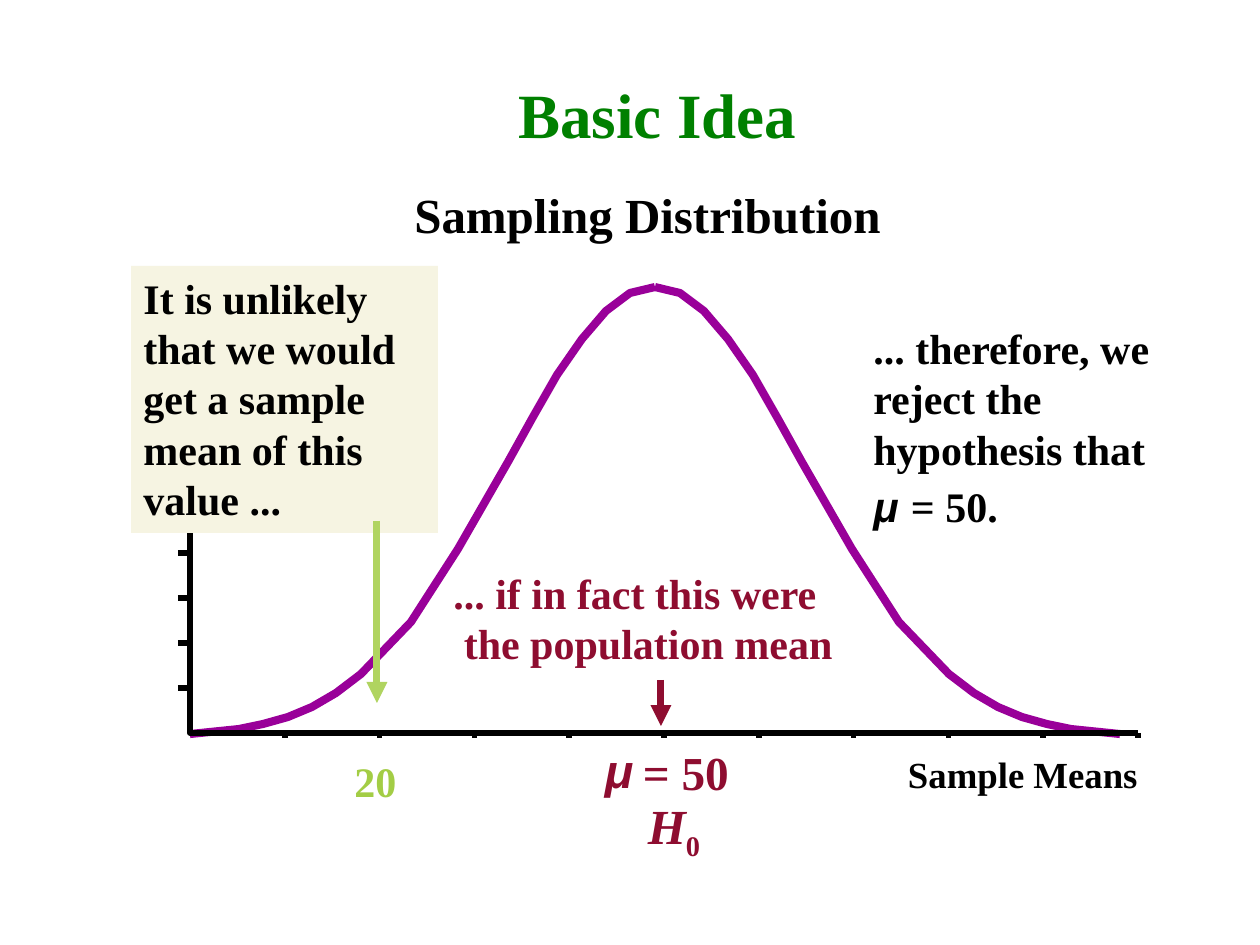
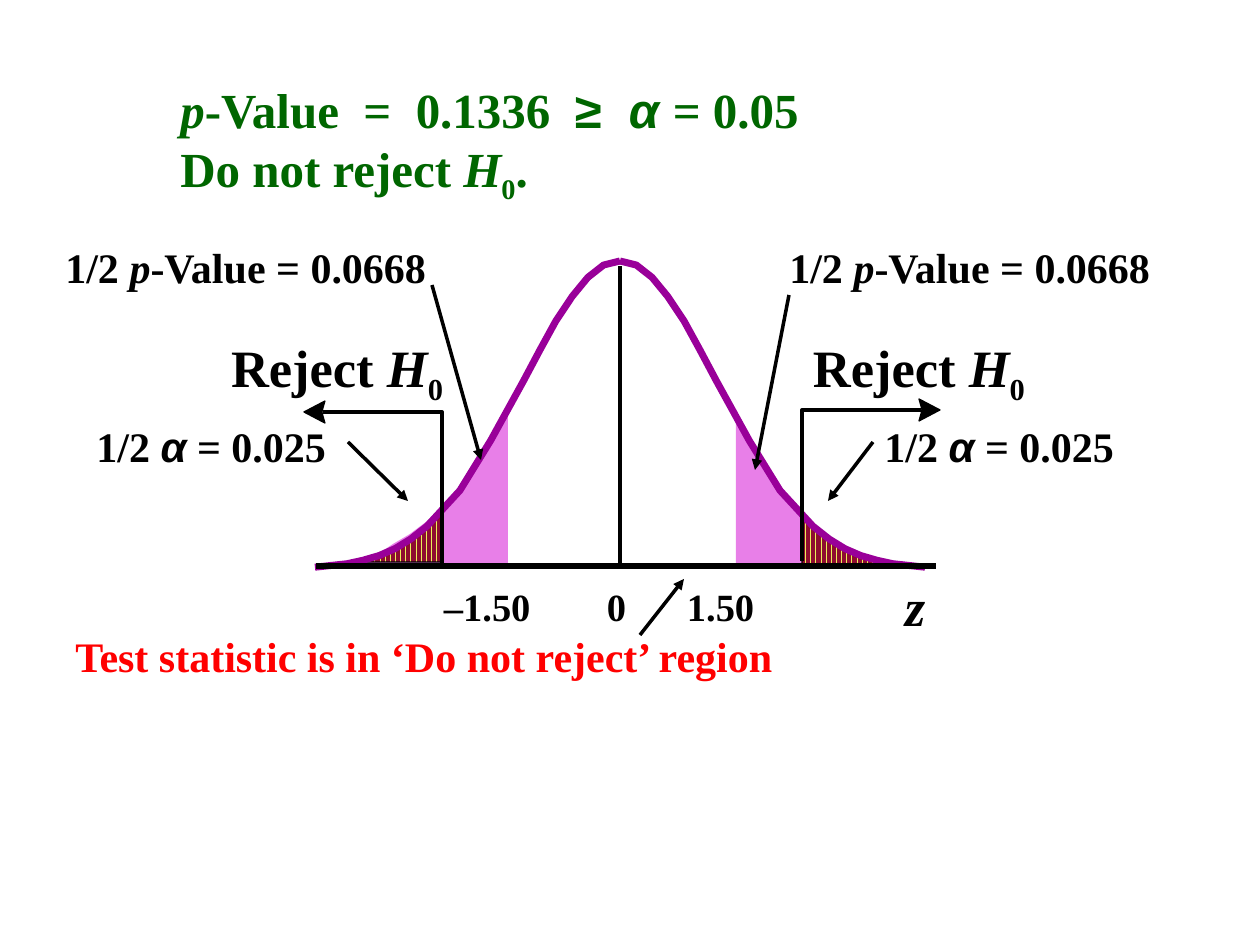
from pptx import Presentation
from pptx.dml.color import RGBColor
from pptx.enum.dml import MSO_PATTERN
from pptx.enum.shapes import MSO_CONNECTOR, MSO_SHAPE
from pptx.enum.text import MSO_ANCHOR, MSO_AUTO_SIZE, PP_ALIGN
from pptx.oxml.ns import qn
from pptx.util import Pt
from lxml.etree import SubElement

SCALE = 914400 / 126
SLIDE_SIZE = (1260, 945)
TITLE_ONLY, BLANK = 5, 6
COLOURS = {
    "title": "008000", "headline": "006600", "ink": "000000", "curve": "990099",
    "mean": "8E0D30", "note": "F6F4E2", "sample": "A3CD45", "sample arrow": "B0D460",
    "p area": "D200D2", "stripe": "E9F05A", "tick": "CDCDCD", "verdict": "FF0000",
}
STYLES = {
    "plain": {},
    "italic": {"italic": True},
    "sub": {},
    "symbol": {"name": "Arial"},
    "greek": {"name": "Arial", "italic": True},
    "large": {"size": Pt(28)},
}
INSETS = ("margin_left", "margin_top", "margin_right", "margin_bottom")

HALF_CURVE = [
    (0, 0), (25, 6), (49, 24), (73, 52), (98, 88), (122, 130), (147, 175), (197, 262),
    (244, 335), (294, 387), (319, 406), (343, 420), (367, 430), (392, 437), (416, 442),
    (465, 447),
]
P_AREA = [
    (0, 0), (0, 159), (151, 159), (133, 152), (115, 140), (98, 130), (82, 118), (67, 104),
    (53, 89), (41, 72), (28, 56), (18, 38), (8, 19),
]
ALPHA_TAIL = [(0, 0), (0, 47), (81, 47), (31, 24)]
BRACKET = [(0, 151), (0, 0), (119, 0)]
BRACKET_HEAD = [(117, -11), (138, 0), (117, 11), (119, 4), (120, 0), (119, -4)]

IDEA_TITLE = ((475, 73, 365, 81), "Basic Idea")
IDEA_NOTE = ((131, 266, 307, 267), 24, "ink",
             [("It is unlikely that we would get a sample mean of this value ...", "plain")])
IDEA_LABELS = [
    ((908, 752, 236, 44), 21, "ink", [("Sample Means", "plain")], "tight"),
    ((605, 741, 32, 57), 27, "mean", [("μ", "greek")], "tight"),
    ((631, 743, 104, 57), 27, "mean", [(" = 50", "plain")], "tight"),
    ((606, 789, 136, 71), 28, "mean", [("H", "italic"), ("0", "sub")], "centre"),
    ((364, 178, 567, 71), 28, "ink", [("Sampling Distribution", "plain")], "centre"),
    ((342, 749, 105, 63), 24, "sample", [("20", "plain")], "left"),
    ((441, 561, 466, 113), 24, "mean",
     [("... if in fact this were\n the population mean", "plain")], "left"),
    ((861, 316, 325, 222), 24, "ink",
     [("... therefore, we reject the hypothesis that ", "plain"), ("μ", "greek"),
      (" ", "large"), ("= 50.", "plain")], "left"),
]
IDEA_ARROWS = [((377, 521), (377, 703), "sample arrow"), ((661, 680), (661, 726), "mean")]

REJECT = [("Reject ", "plain"), ("H", "italic"), ("0", "sub")]
HALF_P = [("1/2 ", "plain"), ("p", "italic"), ("-Value = 0.0668", "plain")]
HALF_ALPHA = [("1/2 ", "plain"), ("α", "greek"), (" = 0.025", "plain")]
TEST_LABELS = [
    ((607, 583, 24, 47), 22, "ink", [("0", "plain")], "tight"),
    ((687, 583, 74, 47), 22, "ink", [("1.50", "plain")], "tight"),
    ((444, 583, 94, 47), 22, "ink", [("–1.50", "plain")], "tight"),
    ((905, 574, 26, 63), 30, "ink", [("z", "italic")], "tight"),
    ((168, 73, 892, 131), 28, "headline",
     [("p", "italic"), ("-Value  =  0.1336  ", "plain"), ("≥  ", "symbol"), ("α ", "greek"),
      ("= 0.05 \nDo not reject ", "plain"), ("H", "italic"), ("0", "sub"), (".", "plain")],
     "left"),
    ((63, 624, 878, 63), 24, "verdict",
     [("Test statistic is in ‘Do not reject’ region", "plain")], "left"),
]
SIDES = [
    {"sign": 1, "area": (736, 415), "area scale": 0.95, "tail": (802, 518),
     "corner": (802, 410), "reject": 813, "half p": 777, "half alpha": 872},
    {"sign": -1, "area": (508, 404), "area scale": 1, "tail": (442, 515),
     "corner": (442, 412), "reject": 231, "half p": 53, "half alpha": 84},
]
TEST_ARROWS = [
    ((432, 285), (481, 460)), ((789, 295), (755, 470)), ((348, 442), (408, 501)),
    ((873, 442), (828, 501)), ((640, 635), (684, 579)),
]


def emu(pixels):
    """Turn pixels into EMU."""
    return round(pixels * SCALE)


def colour(name):
    """Look up a named colour."""
    return RGBColor.from_string(COLOURS[name])


def set_all(target, values):
    """Set every attribute in a dict of format values."""
    for name, value in values.items():
        setattr(target, name, value)


def write(frame, size, ink, runs, mode):
    """Fill a text frame with styled runs."""
    tight = mode == "tight"
    set_all(frame, {"word_wrap": not tight, "vertical_anchor": MSO_ANCHOR.TOP,
                    "auto_size": MSO_AUTO_SIZE.SHAPE_TO_FIT_TEXT})
    if tight:
        set_all(frame, dict.fromkeys(INSETS, 0))
    para = frame.paragraphs[0]
    para.alignment = PP_ALIGN.CENTER if mode == "centre" else PP_ALIGN.LEFT
    for text, style in runs:
        for number, line in enumerate(text.split("\n")):
            if number:
                para.add_line_break()
            span = para.add_run()
            span.text = line
            set_all(span.font, {"name": "Times New Roman", "size": Pt(size), "bold": True,
                                "italic": False, **STYLES[style]})
            span.font.color.rgb = colour(ink)
            if style == "sub":
                span.font._element.set("baseline", "-25000")


def add_label(page, place, size, ink, runs, mode):
    """Add a text box."""
    box = page.shapes.add_textbox(*map(emu, place))
    write(box.text_frame, size, ink, runs, mode)


def add_line(page, start, end, ink, width, arrow=False):
    """Add a straight line, with an arrowhead at its end if asked."""
    line = page.shapes.add_connector(MSO_CONNECTOR.STRAIGHT, *map(emu, start + end))
    line.line.color.rgb = colour(ink)
    line.line.width = Pt(width)
    if arrow:
        SubElement(line.line._get_or_add_ln(), qn("a:tailEnd"), type="triangle")
    SubElement(line._element.spPr, qn("a:effectLst"))


def place_points(points, anchor, across=1, down=1):
    """Scale offsets and move them to an anchor."""
    return [(anchor[0] + x * across, anchor[1] + y * down) for x, y in points]


def add_outline(page, points, ink=None, width=0, closed=False):
    """Add a freeform without fill."""
    corners = [(emu(x), emu(y)) for x, y in points]
    builder = page.shapes.build_freeform(*corners[0], scale=1)
    builder.add_line_segments(corners[1:], close=closed)
    outline = builder.convert_to_shape()
    outline.shadow.inherit = False
    outline.fill.background()
    if ink:
        outline.line.color.rgb = colour(ink)
        outline.line.width = Pt(width)
    else:
        outline.line.fill.background()
    return outline


def add_bell(page, peak, across, down, width):
    """Add a bell curve as two mirrored halves."""
    for sign in (1, -1):
        add_outline(page, place_points(HALF_CURVE, peak, sign * across, down), "curve", width)


def build_idea(deck):
    """Build the sampling distribution slide."""
    page = deck.slides.add_slide(deck.slide_layouts[TITLE_ONLY])
    place, text = IDEA_TITLE
    title = page.shapes.title
    set_all(title, dict(zip(("left", "top", "width", "height"), map(emu, place))))
    write(title.text_frame, 36, "title", [(text, "plain")], "centre")
    set_all(title.text_frame, {"vertical_anchor": MSO_ANCHOR.MIDDLE,
                               "auto_size": MSO_AUTO_SIZE.NONE})

    add_bell(page, (655, 287), 1, 1, 4.63)
    left, base, right = 190, 733, 1138
    add_outline(page, [(left, 282), (left, base), (right, base)], "ink", 3.25)
    for step in range(1, 5):
        height = base - 45 * step
        add_line(page, (left - 12, height), (left, height), "ink", 3.25)
    for step in range(1, 11):
        x = left + (right - left) * step / 10
        add_line(page, (x, base), (x, base + 5), "ink", 3.25)

    place, *content = IDEA_NOTE
    note = page.shapes.add_shape(MSO_SHAPE.RECTANGLE, *map(emu, place))
    note.shadow.inherit = False
    note.fill.solid()
    note.fill.fore_color.rgb = colour("note")
    note.line.fill.background()
    write(note.text_frame, *content, "left")
    for label in IDEA_LABELS:
        add_label(page, *label)
    for start, end, ink in IDEA_ARROWS:
        add_line(page, start, end, ink, 4, arrow=True)


def build_test(deck):
    """Build the two-tailed test slide."""
    page = deck.slides.add_slide(deck.slide_layouts[BLANK])
    for side in SIDES:
        scale = side["area scale"]
        points = place_points(P_AREA, side["area"], side["sign"] * scale, scale)
        area = add_outline(page, points, closed=True)
        area.fill.solid()
        area.fill.fore_color.rgb = colour("p area")
        tint = area._element.spPr.find(qn("a:solidFill"))[0]
        SubElement(tint, qn("a:alpha"), val="50000")
    add_line(page, (620, 266), (620, 567), "ink", 2.13)
    for side in SIDES:
        points = place_points(ALPHA_TAIL, side["tail"], side["sign"])
        tail = add_outline(page, points, "ink", 0.75, closed=True)
        tail.fill.patterned()
        tail.fill.pattern = MSO_PATTERN.DARK_VERTICAL
        tail.fill.fore_color.rgb = colour("mean")
        tail.fill.back_color.rgb = colour("stripe")

    add_bell(page, (620, 261), 0.656, 0.685, 4)
    add_line(page, (316, 566), (936, 566), "ink", 3)
    for step in range(1, 11):
        tick = (316 + 62 * step, 566)
        add_line(page, tick, tick, "tick", 3)

    for side in SIDES:
        sign, corner = side["sign"], side["corner"]
        add_outline(page, place_points(BRACKET, corner, sign), "ink", 2.13)
        head = add_outline(page, place_points(BRACKET_HEAD, corner, sign), "ink", 0.75, True)
        head.fill.solid()
        head.fill.fore_color.rgb = colour("ink")
        add_label(page, (side["reject"], 335, 222, 63), 30, "ink", REJECT, "tight")
        add_label(page, (side["half p"], 235, 430, 63), 24, "ink", HALF_P, "left")
        add_label(page, (side["half alpha"], 414, 284, 63), 24, "ink", HALF_ALPHA, "left")
    for label in TEST_LABELS:
        add_label(page, *label)
    for start, end in TEST_ARROWS:
        add_line(page, start, end, "ink", 2, arrow=True)


def main():
    """Build and save the deck."""
    deck = Presentation()
    deck.slide_width, deck.slide_height = map(emu, SLIDE_SIZE)
    build_idea(deck)
    build_test(deck)
    deck.save("out.pptx")


if __name__ == "__main__":
    main()
